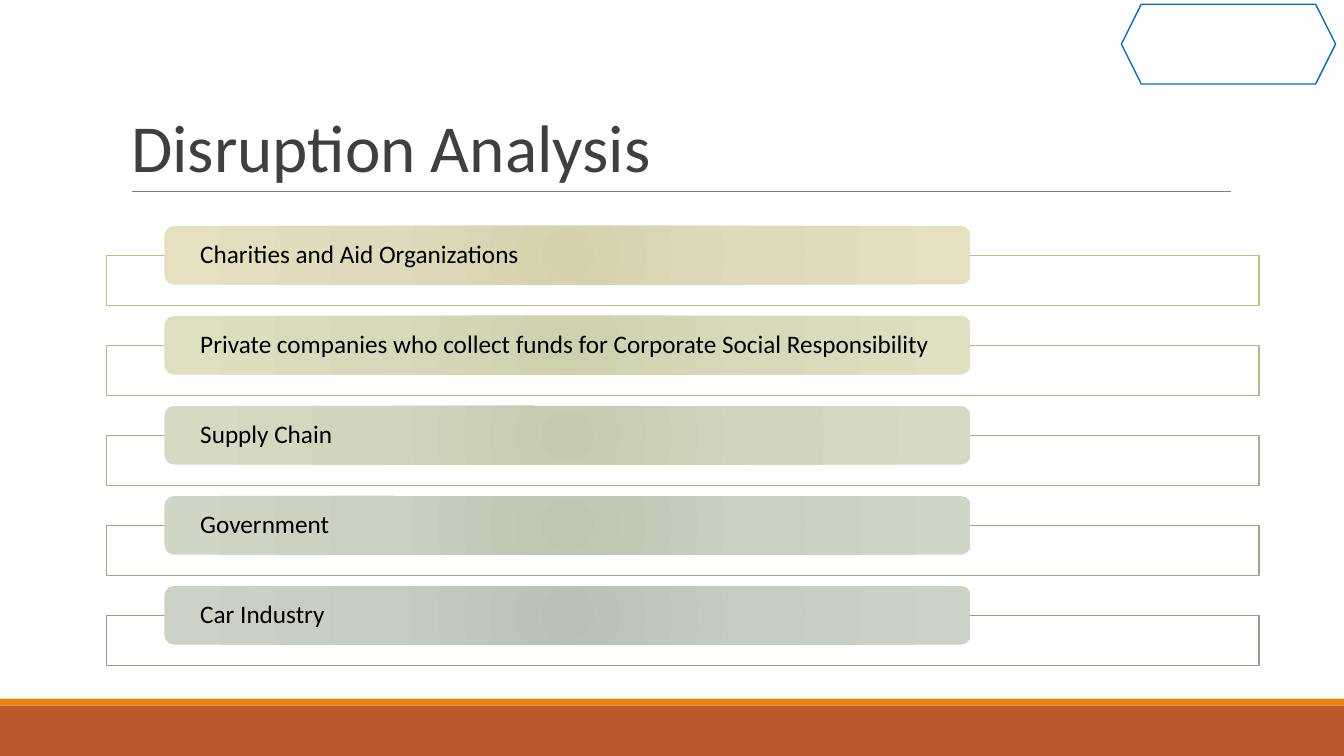
import pptx
import pptx.util
import pptx.oxml
import pptx.oxml.ns
import pptx.dml.color
import pptx.enum.shapes
import pptx.enum.text
import lxml.etree

Pt = pptx.util.Pt
Color = pptx.dml.color.RGBColor.from_string
Shape = pptx.enum.shapes.MSO_SHAPE
Align = pptx.enum.text.PP_ALIGN
Anchor = pptx.enum.text.MSO_ANCHOR
qn = pptx.oxml.ns.qn

theme = {
    "font": "Calibri", "head": 48, "body": 18,
    "title": "3F3F3F", "text": "000000", "paper": "FFFFFF",
    "rule": "7F7F7F", "base": "BD582C", "strip": "E48312", "badge": "0070C0",
    "rows": [
        ("C2BC80", "D5D1AD", "DDDBBB", "E5E1C0"),
        ("B6B980", "CED1AD", "D8D9BB", "DEE0C1"),
        ("A7B083", "C4CBAF", "D0D5BD", "D5DBC3"),
        ("9BA884", "BDC6B1", "C9D0BE", "CFD7C4"),
        ("949F87", "BAC0B3", "C6CCC0", "CDD2C6"),
    ],
}


def write(shape, text, size, color, anchor, space, inset=(7.2, 3.6)):
    frame = shape.text_frame
    frame.text = text
    frame.word_wrap = True
    frame.auto_size = pptx.enum.text.MSO_AUTO_SIZE.NONE
    frame.vertical_anchor = anchor
    frame.margin_left = frame.margin_right = Pt(inset[0])
    frame.margin_top = frame.margin_bottom = Pt(inset[1])
    line = frame.paragraphs[0]
    line.alignment = Align.LEFT
    line.line_spacing = space
    line.font.name = theme["font"]
    line.font.size = Pt(size)
    line.font.color.rgb = Color(color)


def draw(kind, left, top, width, height, fill=None, edge=None):
    shape = slide.shapes.add_shape(kind, Pt(left), Pt(top), Pt(width), Pt(height))
    shape.shadow.inherit = False
    if fill:
        shape.fill.solid()
        shape.fill.fore_color.rgb = Color(fill)
    else:
        shape.fill.background()
    if edge:
        shape.line.color.rgb = Color(edge)
        shape.line.width = Pt(1)
    else:
        shape.line.fill.background()
    return shape


deck = pptx.Presentation()
deck.slide_width, deck.slide_height = Pt(960), Pt(540)
slide = deck.slides.add_slide(deck.slide_layouts[5])

draw(Shape.RECTANGLE, 0, 504, 960, 36, fill=theme["base"])
draw(Shape.RECTANGLE, 0, 499, 960, 5, fill=theme["strip"])

rule = slide.shapes.add_connector(
    pptx.enum.shapes.MSO_CONNECTOR.STRAIGHT, Pt(94.5), Pt(136.8), Pt(879), Pt(136.8))
rule.line.color.rgb = Color(theme["rule"])
rule.line.width = Pt(0.75)
lxml.etree.SubElement(rule.element.spPr, qn("a:effectLst"))

title = slide.shapes.title
title.left, title.top, title.width, title.height = Pt(86.4), Pt(22.3), Pt(792), Pt(114.5)
write(title, "Disruption Analysis", size=theme["head"], color=theme["title"],
      anchor=Anchor.BOTTOM, space=0.85)

groups = [
    "Charities and Aid Organizations",
    "Private companies who collect funds for Corporate Social Responsibility",
    "Supply Chain",
    "Government",
    "Car Industry",
]
for row, (group, (edge, *stops)) in enumerate(zip(groups, theme["rows"])):
    top = 161.4 + row * 64.3
    box = draw(Shape.RECTANGLE, 76.3, top + 21, 823, 36, fill=theme["paper"], edge=edge)
    tint = next(box.element.spPr.iter(qn("a:srgbClr")))
    lxml.etree.SubElement(tint, qn("a:alpha"), val="90000")

    bar = draw(Shape.ROUNDED_RECTANGLE, 117.4, top, 576, 41.8)
    blend = "".join(
        f'<a:gs pos="{spot * 1000}"><a:srgbClr val="{stop}"/></a:gs>'
        for spot, stop in zip((0, 45, 100), stops))
    fill = pptx.oxml.parse_xml(
        f'<a:gradFill {pptx.oxml.ns.nsdecls("a")} rotWithShape="1"><a:gsLst>{blend}</a:gsLst>'
        '<a:path path="circle"><a:fillToRect l="50000" t="50000" r="50000" b="50000"/></a:path>'
        '</a:gradFill>')
    props = bar.element.spPr
    props.replace(props.find(qn("a:noFill")), fill)
    write(bar, group, size=theme["body"], color=theme["text"],
          anchor=Anchor.MIDDLE, space=0.9, inset=(23.6, 0))

draw(Shape.HEXAGON, 801, 3, 153, 57, edge=theme["badge"])

deck.save("out.pptx")
